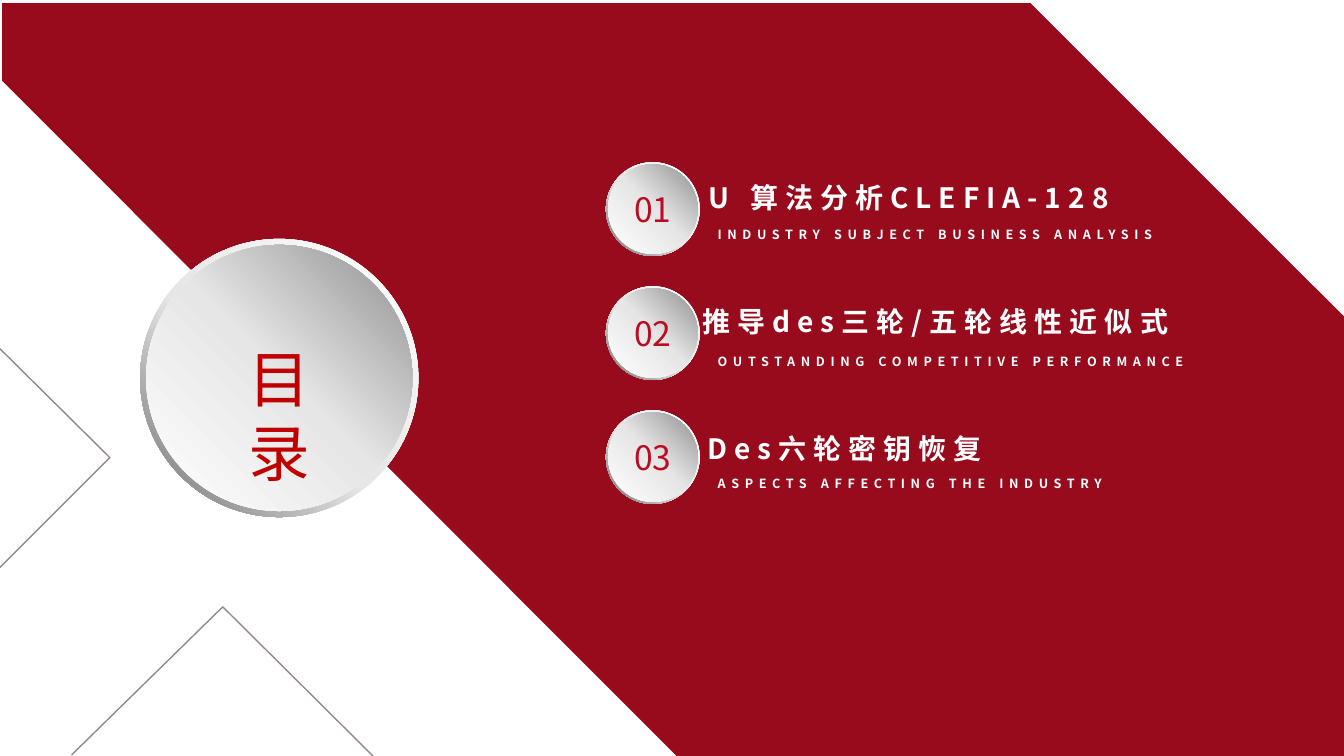
from copy import deepcopy
from dataclasses import dataclass

from pptx import Presentation, util as u
from pptx.dml.color import RGBColor
from pptx.enum import shapes, text
from pptx.oxml.ns import qn

PX = u.Inches(1) // 100
FONT = "Noto Sans CJK SC"
WHITE = RGBColor(0xFF, 0xFF, 0xFF)
CRIMSON = RGBColor(0x97, 0x0B, 0x1C)
TITLE_RED = RGBColor(0xC0, 0x00, 0x00)
NUMBER_RED = RGBColor(0xBB, 0x0C, 0x21)
OUTLINE_GREY = RGBColor(0x92, 0x88, 0x8B)
PALE_GREY = RGBColor(0xE6, 0xE6, 0xE6)
RIM_GREY = RGBColor(0x6C, 0x6C, 0x6C)
FACE_GREY = RGBColor(0x8F, 0x8F, 0x8F)

BADGE_LEFT, BADGE_TOP, BADGE_STEP, BADGE_SIZE = 601, 161, 123, 93


@dataclass(frozen=True)
class Style:
    size: int
    color: RGBColor
    bold: bool = False
    spacing: int = 0


@dataclass(frozen=True)
class Label:
    words: str
    left: int
    top: int
    width: int
    height: int
    inset_left: int = 10
    inset_top: int = 5


@dataclass(frozen=True)
class Gradient:
    stops: tuple[tuple[float, RGBColor], ...]
    angle: int


@dataclass(frozen=True)
class Entry:
    heading: Label
    subtitle: Label


TITLE_STYLE = Style(44, TITLE_RED)
NUMBER_STYLE = Style(24, NUMBER_RED)
HEADING_STYLE = Style(20, WHITE, True, 5)
SUBTITLE_STYLE = Style(9, WHITE, True, 4)

RIM = Gradient(((0, WHITE), (0.55, PALE_GREY), (1, RIM_GREY)), 225)
FACE = Gradient(((0, WHITE), (0.51, PALE_GREY), (1, FACE_GREY)), 45)

BAND = [(2, 3), (2, 80), (673, 752), (1333, 752), (1333, 314), (1022, 3)]
CHEVRONS = [
    [(-2, 344), (109, 454), (-4, 567)],
    [(71, 749), (221, 602), (371, 751)],
]
ENTRIES = [
    Entry(
        Label("U 算法分析CLEFIA-128", 678, 158, 530, 64, 25, 21),
        Label("INDUSTRY SUBJECT BUSINESS ANALYSIS", 702, 220, 483, 25),
    ),
    Entry(
        Label("推导des三轮/五轮线性近似式", 687, 297, 530, 77),
        Label("OUTSTANDING COMPETITIVE PERFORMANCE", 702, 346, 483, 40),
    ),
    Entry(
        Label("Des六轮密钥恢复", 692, 423, 530, 44),
        Label("ASPECTS AFFECTING THE INDUSTRY", 702, 467, 483, 25),
    ),
]


def write(shape, words: str, style: Style) -> None:
    shape.text_frame.text = words
    for run in shape.text_frame.paragraphs[0].runs:
        run.font.size = u.Pt(style.size)
        run.font.bold = style.bold
        run.font.name = FONT
        run.font.color.rgb = style.color
    for properties in shape.element.iter(qn("a:rPr")):
        properties.set("spc", str(style.spacing * 100))
        east_asian = properties.makeelement(qn("a:ea"), {"typeface": FONT})
        properties.append(east_asian)


def add_label(slide, label: Label, style: Style) -> None:
    box = slide.shapes.add_textbox(
        label.left * PX, label.top * PX, label.width * PX, label.height * PX
    )
    frame = box.text_frame
    frame.word_wrap = True
    frame.margin_left = label.inset_left * PX
    frame.margin_top = label.inset_top * PX
    write(box, label.words, style)


def add_outline(slide, points: list[tuple[int, int]], closed: bool):
    builder = slide.shapes.build_freeform(*points[0], scale=PX)
    builder.add_line_segments(points[1:], close=closed)
    outline = builder.convert_to_shape()
    outline.shadow.inherit = False
    return outline


def paint(shape, gradient: Gradient) -> None:
    shape.fill.gradient()
    stop_list = next(shape.element.iter(qn("a:gsLst")))
    stop_list.append(deepcopy(stop_list[0]))
    for stop, (position, color) in zip(shape.fill.gradient_stops, gradient.stops):
        stop.position = position
        stop.color.rgb = color
    shape.fill.gradient_angle = gradient.angle
    shape.line.fill.background()
    shape.shadow.inherit = False


def add_disc(slide, left: int, top: int, size: int, inset: int):
    disc = slide.shapes.add_group_shape()
    rim = disc.shapes.add_shape(
        shapes.MSO_SHAPE.DONUT, left * PX, top * PX, size * PX, size * PX
    )
    rim.adjustments[0] = 0.05
    paint(rim, RIM)
    inner = (size - 2 * inset) * PX
    face = disc.shapes.add_shape(
        shapes.MSO_SHAPE.OVAL, (left + inset) * PX, (top + inset) * PX, inner, inner
    )
    paint(face, FACE)
    return face


def add_title(slide, words: str) -> None:
    title = slide.shapes.title
    title.left, title.top = 206 * PX, 333 * PX
    title.width, title.height = 142 * PX, 84 * PX
    frame = title.text_frame
    frame.word_wrap = False
    frame.auto_size = text.MSO_AUTO_SIZE.SHAPE_TO_FIT_TEXT
    frame.vertical_anchor = text.MSO_ANCHOR.TOP
    write(title, words, TITLE_STYLE)
    frame.paragraphs[0].alignment = text.PP_ALIGN.CENTER
    slide.shapes.element.append(title.element)


def main() -> None:
    deck = Presentation()
    deck.slide_width, deck.slide_height = 1333 * PX, 750 * PX
    slide = deck.slides.add_slide(deck.slide_layouts[5])

    band = add_outline(slide, BAND, True)
    band.fill.solid()
    band.fill.fore_color.rgb = CRIMSON
    band.line.fill.background()
    for points in CHEVRONS:
        chevron = add_outline(slide, points, False)
        chevron.fill.background()
        chevron.line.color.rgb = OUTLINE_GREY
        chevron.line.width = u.Pt(1)

    add_disc(slide, 139, 237, 276, 6)
    add_title(slide, "目录")

    for index, entry in enumerate(ENTRIES):
        badge_top = BADGE_TOP + index * BADGE_STEP
        badge = add_disc(slide, BADGE_LEFT, badge_top, BADGE_SIZE, 2)
        write(badge, f"{index + 1:02}", NUMBER_STYLE)
        badge.text_frame.vertical_anchor = text.MSO_ANCHOR.MIDDLE
        badge.text_frame.paragraphs[0].alignment = text.PP_ALIGN.CENTER
        add_label(slide, entry.heading, HEADING_STYLE)
        add_label(slide, entry.subtitle, SUBTITLE_STYLE)

    deck.save("out.pptx")


if __name__ == "__main__":
    main()
